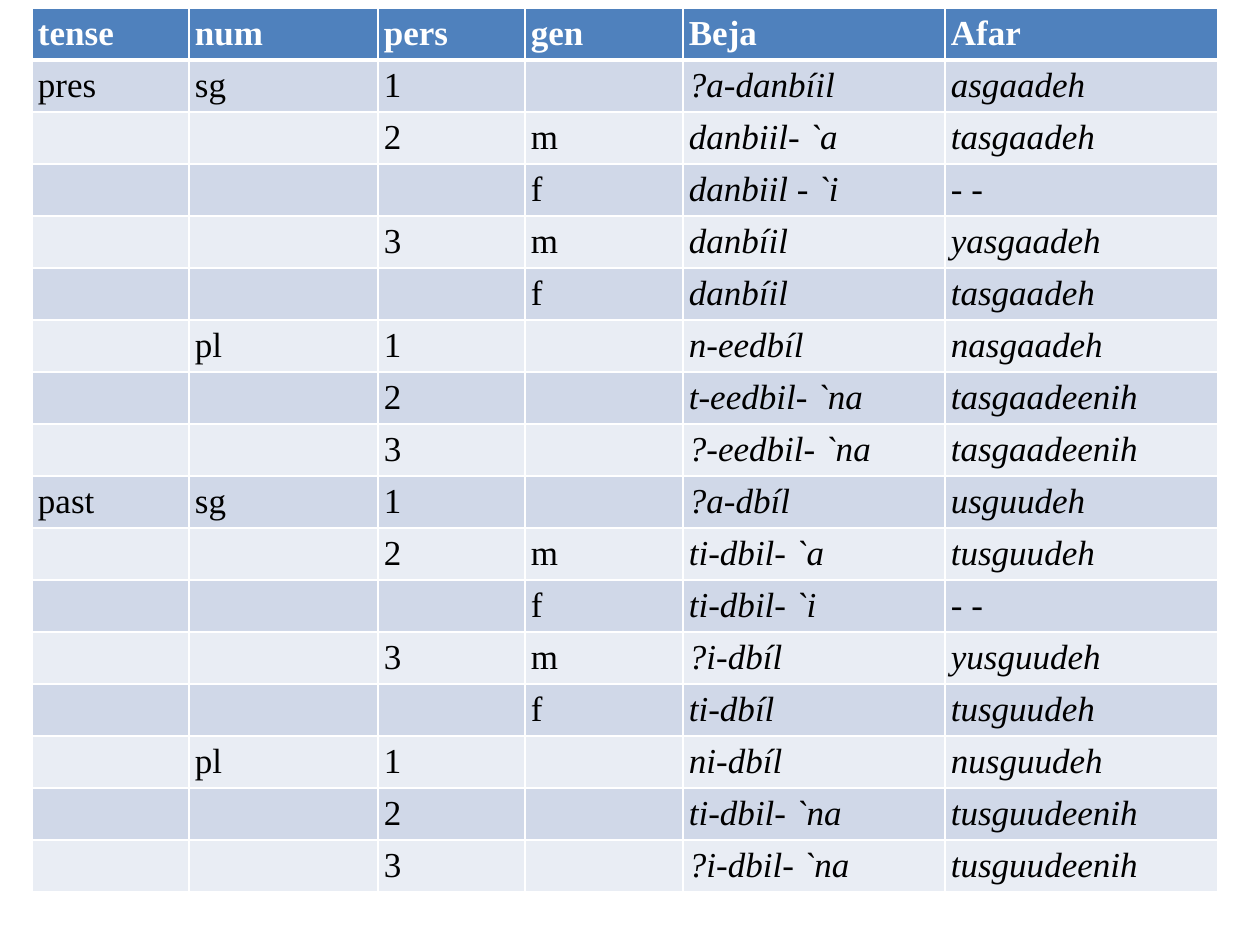
"""Build a slide with a table comparing Beja and Afar verb paradigms."""
import pptx
import pptx.dml.color
import pptx.enum.text
import pptx.oxml.ns
import pptx.util
import lxml.etree

PX = 914400 / 126
WHITE = pptx.dml.color.RGBColor(0xFF, 0xFF, 0xFF)
BLACK = pptx.dml.color.RGBColor(0x00, 0x00, 0x00)
BLUE = pptx.dml.color.RGBColor(0x4F, 0x81, 0xBD)
BAND_DARK = pptx.dml.color.RGBColor(0xD0, 0xD8, 0xE8)
BAND_LIGHT = pptx.dml.color.RGBColor(0xE9, 0xED, 0xF4)

HEADERS = ("tense", "num", "pers", "gen", "Beja", "Afar")
COLUMN_WIDTHS = (157, 189, 147, 158, 262, 273)
LANGUAGE_START = HEADERS.index("Beja")
VERB_FORMS = (
    ("pres", "sg", "1", "", "?a-danbíil", "asgaadeh"),
    ("", "", "2", "m", "danbiil- `a", "tasgaadeh"),
    ("", "", "", "f", "danbiil - `i", "- -"),
    ("", "", "3", "m", "danbíil", "yasgaadeh"),
    ("", "", "", "f", "danbíil", "tasgaadeh"),
    ("", "pl", "1", "", "n-eedbíl", "nasgaadeh"),
    ("", "", "2", "", "t-eedbil- `na", "tasgaadeenih"),
    ("", "", "3", "", "?-eedbil- `na", "tasgaadeenih"),
    ("past", "sg", "1", "", "?a-dbíl", "usguudeh"),
    ("", "", "2", "m", "ti-dbil- `a", "tusguudeh"),
    ("", "", "", "f", "ti-dbil- `i", "- -"),
    ("", "", "3", "m", "?i-dbíl", "yusguudeh"),
    ("", "", "", "f", "ti-dbíl", "tusguudeh"),
    ("", "pl", "1", "", "ni-dbíl", "nusguudeh"),
    ("", "", "2", "", "ti-dbil- `na", "tusguudeenih"),
    ("", "", "3", "", "?i-dbil- `na", "tusguudeenih"),
)


def px(length):
    return pptx.util.Emu(round(length * PX))


def write_text(para, text, *, font, size, color=BLACK, bold=False, italic=False):
    span = para.add_run()
    span.text = text
    span.font.name = font
    span.font.size = pptx.util.Pt(size)
    span.font.color.rgb = color
    span.font.bold = bold
    span.font.italic = italic


class SlideBuilder:
    def __init__(self, page, font="Times New Roman", size=20, inset=6):
        self.page = page
        self.font = font
        self.size = size
        self.inset = px(inset)

    def add_borders(self, cell, color, **widths):
        properties = cell._tc.get_or_add_tcPr()
        for side in ("L", "R", "T", "B"):
            width = pptx.util.Pt(widths.get(side, 1))
            line = lxml.etree.SubElement(
                properties, pptx.oxml.ns.qn(f"a:ln{side}"), w=str(width))
            fill = lxml.etree.SubElement(line, pptx.oxml.ns.qn("a:solidFill"))
            lxml.etree.SubElement(fill, pptx.oxml.ns.qn("a:srgbClr"), val=str(color))

    def fill_cell(self, cell, text, fill, middle, borders, **text_format):
        self.add_borders(cell, WHITE, **borders)
        cell.fill.solid()
        cell.fill.fore_color.rgb = fill
        cell.margin_left = cell.margin_right = self.inset
        cell.margin_top = cell.margin_bottom = self.inset
        anchors = pptx.enum.text.MSO_ANCHOR
        cell.vertical_anchor = anchors.MIDDLE if middle else anchors.TOP
        if text:
            write_text(cell.text_frame.paragraphs[0], text,
                       font=self.font, size=self.size, **text_format)

    def add_table(self, left, top, widths, row_height, headers, rows):
        frame = self.page.shapes.add_table(
            len(rows) + 1, len(headers), px(left), px(top),
            px(sum(widths)), px(row_height * (len(rows) + 1)))
        table = frame.table
        for column, width in zip(table.columns, widths):
            column.width = px(width)
        for row in table.rows:
            row.height = px(row_height)
        for column, header in enumerate(headers):
            self.fill_cell(table.cell(0, column), header, BLUE, True,
                           {"B": 3}, color=WHITE, bold=True)
        for number, row in enumerate(rows, start=1):
            band = BAND_DARK if number % 2 else BAND_LIGHT
            borders = {"T": 3} if number == 1 else {}
            for column, text in enumerate(row):
                is_form = column >= LANGUAGE_START
                self.fill_cell(table.cell(number, column), text, band, is_form,
                               borders, italic=is_form)


def main():
    deck = pptx.Presentation()
    deck.slide_width = pptx.util.Inches(10)
    deck.slide_height = pptx.util.Inches(7.5)
    page = deck.slides.add_slide(deck.slide_layouts[6])
    builder = SlideBuilder(page)
    builder.add_table(32, 8, COLUMN_WIDTHS, 52, HEADERS, VERB_FORMS)
    deck.save("out.pptx")


if __name__ == "__main__":
    main()
